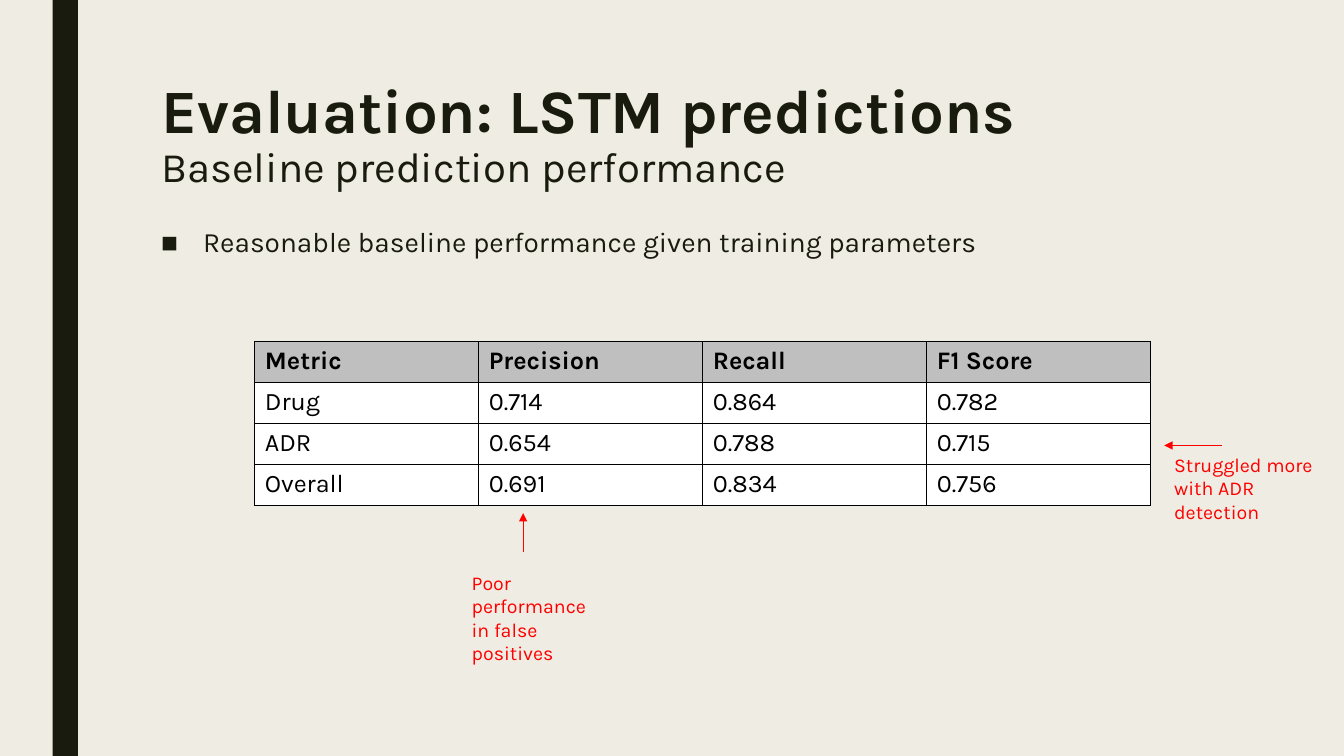
"""Build the slide on baseline LSTM prediction performance."""
from dataclasses import dataclass

from lxml import etree
from pptx import Presentation, slide
from pptx import util as u
from pptx.dml.color import RGBColor
from pptx.enum import shapes, text
from pptx.oxml import ns

FONT = "Karla"
COLORS = {
    "paper": "EFEDE3",
    "ink": "191B0E",
    "black": "000000",
    "header": "BFBFBF",
    "cell": "FFFFFF",
    "note": "FF0000",
}
SCORES = [
    ("Metric", "Precision", "Recall", "F1 Score"),
    ("Drug", "0.714", "0.864", "0.782"),
    ("ADR", "0.654", "0.788", "0.715"),
    ("Overall", "0.691", "0.834", "0.756"),
]
COLUMN_WIDTH, ROW_HEIGHT = 160, 29.2


@dataclass
class Note:
    words: str
    left: float
    top: float
    width: float
    arrow_from: tuple[float, float]
    arrow_to: tuple[float, float]


NOTES = [
    Note("Struggled more with ADR detection", 831.6, 319.7, 117.4,
         (872.6, 318.2), (831.6, 318.2)),
    Note("Poor performance in false positives", 329.8, 403.9, 107.3,
         (373.7, 394.6), (373.7, 366.5)),
]


def rgb(name: str) -> RGBColor:
    return RGBColor.from_string(COLORS[name])


def style(font: text, size: float, color: str, bold: bool = False) -> None:
    font.name = FONT
    font.size = u.Pt(size)
    font.bold = bold
    font.color.rgb = rgb(color)


def add_frame(page: slide.Slide, left: float, top: float, width: float, height: float):
    box = page.shapes.add_textbox(u.Pt(left), u.Pt(top), u.Pt(width), u.Pt(height))
    box.text_frame.word_wrap = True
    return box.text_frame


def add_side_bar(page: slide.Slide) -> None:
    bar = page.shapes.add_shape(
        shapes.MSO_SHAPE.RECTANGLE, u.Pt(37.6), u.Pt(0), u.Pt(18), u.Pt(540))
    bar.shadow.inherit = False
    bar.fill.solid()
    bar.fill.fore_color.rgb = rgb("ink")
    bar.line.fill.background()


def add_title(page: slide.Slide) -> None:
    para = add_frame(page, 108, 54, 756, 116.6).paragraphs[0]
    para.line_spacing = 0.89
    heading = para.add_run()
    heading.text = "Evaluation: LSTM predictions"
    style(heading.font, 44, "ink", bold=True)
    para.add_line_break()
    subtitle = para.add_run()
    subtitle.text = "Baseline prediction performance"
    style(subtitle.font, 30, "ink")


def add_bullet(page: slide.Slide) -> None:
    para = add_frame(page, 108, 159.1, 756, 303.1).paragraphs[0]
    para.text = "Reasonable baseline performance given training parameters"
    para.line_spacing = 0.94
    para.space_after = u.Pt(2)
    properties = para._p.get_or_add_pPr()
    properties.set("marL", str(u.Pt(30)))
    properties.set("indent", str(u.Pt(-30)))
    etree.SubElement(properties, ns.qn("a:buFont"), typeface="Arial")
    etree.SubElement(properties, ns.qn("a:buChar"), char="■")
    style(para.font, 20, "ink")


def add_borders(cell) -> None:
    properties = cell._tc.get_or_add_tcPr()
    for side in ("lnL", "lnR", "lnT", "lnB"):
        line = etree.SubElement(properties, ns.qn(f"a:{side}"), w=str(u.Pt(1)))
        fill = etree.SubElement(line, ns.qn("a:solidFill"))
        etree.SubElement(fill, ns.qn("a:srgbClr"), val=COLORS["black"])


def add_scores(page: slide.Slide) -> None:
    rows, columns = len(SCORES), len(SCORES[0])
    table = page.shapes.add_table(
        rows, columns, u.Pt(182), u.Pt(244),
        u.Pt(columns * COLUMN_WIDTH), u.Pt(rows * ROW_HEIGHT)).table
    for column in table.columns:
        column.width = u.Pt(COLUMN_WIDTH)
    for index, values in enumerate(SCORES):
        is_header = index == 0
        table.rows[index].height = u.Pt(ROW_HEIGHT)
        for cell, value in zip(table.rows[index].cells, values):
            cell.text = value
            add_borders(cell)
            cell.fill.solid()
            cell.fill.fore_color.rgb = rgb("header" if is_header else "cell")
            style(cell.text_frame.paragraphs[0].font, 18, "black", bold=is_header)


def add_note(page: slide.Slide, note: Note) -> None:
    frame = add_frame(page, note.left, note.top, note.width, 58.3)
    frame.auto_size = text.MSO_AUTO_SIZE.SHAPE_TO_FIT_TEXT
    para = frame.paragraphs[0]
    para.text = note.words
    style(para.font, 14, "note")

    ends = [u.Pt(value) for value in note.arrow_from + note.arrow_to]
    arrow = page.shapes.add_connector(shapes.MSO_CONNECTOR.STRAIGHT, *ends)
    arrow.line.width = u.Pt(0.5)
    arrow.line.color.rgb = rgb("note")
    etree.SubElement(arrow.line._get_or_add_ln(), ns.qn("a:tailEnd"), type="triangle")
    etree.SubElement(arrow._element.spPr, ns.qn("a:effectLst"))


def main() -> None:
    deck = Presentation()
    deck.slide_width, deck.slide_height = u.Pt(960), u.Pt(540)
    page = deck.slides.add_slide(deck.slide_layouts[6])
    page.background.fill.solid()
    page.background.fill.fore_color.rgb = rgb("paper")
    add_side_bar(page)
    add_title(page)
    add_bullet(page)
    add_scores(page)
    for note in NOTES:
        add_note(page, note)
    deck.save("out.pptx")


if __name__ == "__main__":
    main()
